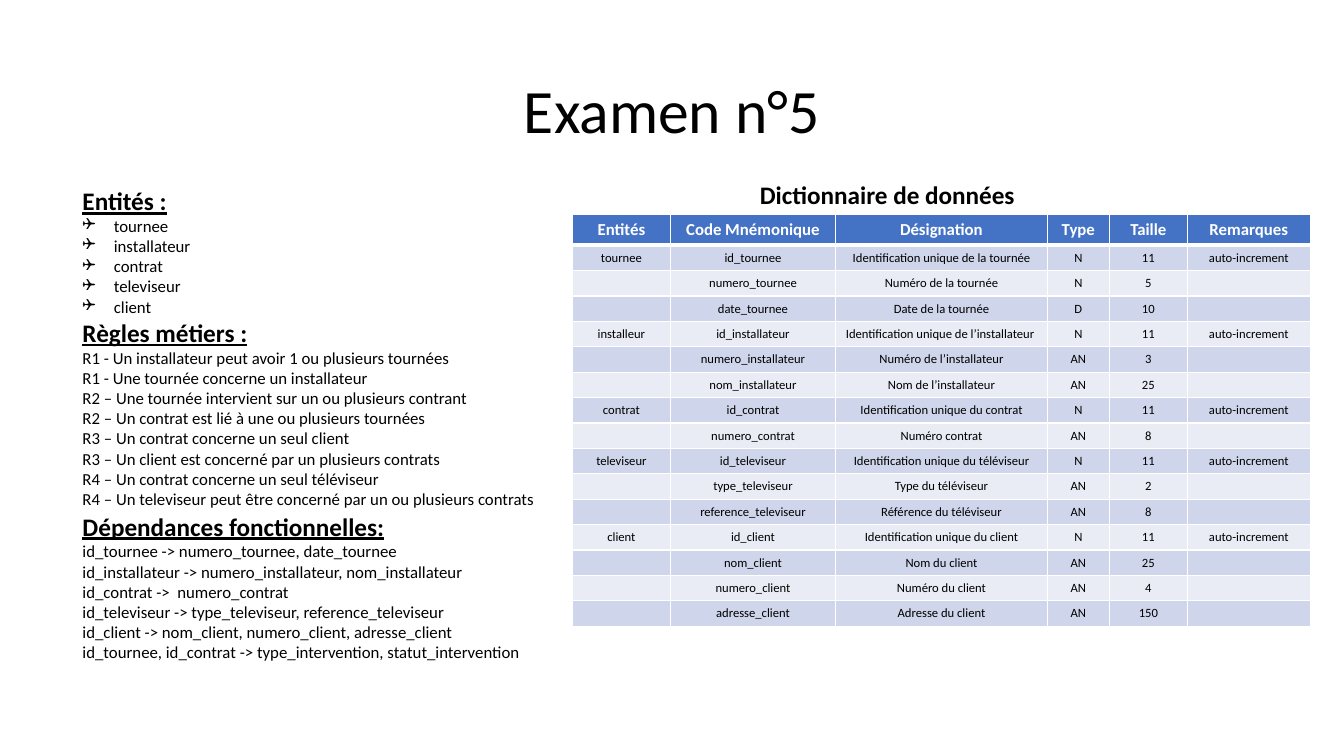
from lxml.etree import SubElement
from pptx import Presentation
from pptx.dml.color import RGBColor
from pptx.enum.text import MSO_ANCHOR, MSO_AUTO_SIZE, PP_ALIGN
from pptx.oxml.ns import qn
from pptx.util import Cm, Pt

TITLE = "Examen n°5"
SECTIONS = [
    ("Entités :", (1.83, 4.55, 7.44, 4.37), "❑",
     ["tournee", "installateur", "contrat", "televiseur", "client"]),
    ("Règles métiers :", (1.83, 7.87, 14.88, 5.89), None,
     ["R1 - Un installateur peut avoir 1 ou plusieurs tournées",
      "R1 - Une tournée concerne un installateur",
      "R2 – Une tournée intervient sur un ou plusieurs contrant",
      "R2 – Un contrat est lié à une ou plusieurs tournées",
      "R3 – Un contrat concerne un seul client",
      "R3 – Un client est concerné par un plusieurs contrats",
      "R4 – Un contrat concerne un seul téléviseur",
      "R4 – Un televiseur peut être concerné par un ou plusieurs contrats"]),
    ("Dépendances fonctionnelles:", (1.83, 12.75, 11.86, 4.11), None,
     ["id_tournee -> numero_tournee, date_tournee",
      "id_installateur -> numero_installateur, nom_installateur",
      "id_contrat ->  numero_contrat",
      "id_televiseur -> type_televiseur, reference_televiseur",
      "id_client -> nom_client, numero_client, adresse_client",
      "id_tournee, id_contrat -> type_intervention, statut_intervention"]),
]
DICTIONARY_TITLE = "Dictionnaire de données"
HEADERS = ["Entités", "Code Mnémonique", "Désignation", "Type", "Taille", "Remarques"]
COLUMN_WIDTHS = [2.46, 4.17, 5.33, 1.57, 1.96, 3.1]
ENTITIES = {
    "tournee": [
        ("id_tournee", "Identification unique de la tournée", "N", "11"),
        ("numero_tournee", "Numéro de la tournée", "N", "5"),
        ("date_tournee", "Date de la tournée", "D", "10")],
    "installeur": [
        ("id_installateur", "Identification unique de l’installateur ", "N", "11"),
        ("numero_installateur", "Numéro de l’installateur", "AN", "3"),
        ("nom_installateur", "Nom de l’installateur", "AN", "25")],
    "contrat": [
        ("id_contrat", "Identification unique du contrat", "N", "11"),
        ("numero_contrat", "Numéro contrat", "AN", "8")],
    "televiseur": [
        ("id_televiseur", "Identification unique du téléviseur", "N", "11"),
        ("type_televiseur", "Type du téléviseur", "AN", "2"),
        ("reference_televiseur", "Référence du téléviseur", "AN", "8")],
    "client": [
        ("id_client", "Identification unique du client", "N", "11"),
        ("nom_client", "Nom du client", "AN", "25"),
        ("numero_client", "Numéro du client", "AN", "4"),
        ("adresse_client", "Adresse du client", "AN", "150")],
}
KEY_REMARK = "auto-increment"

FONT = "Calibri"
BLACK = RGBColor(0, 0, 0)
WHITE = RGBColor(255, 255, 255)
HEADER_BLUE = RGBColor(0x44, 0x72, 0xC4)
BANDS = [RGBColor(0xCF, 0xD5, 0xEA), RGBColor(0xE9, 0xEB, 0xF5)]


def write(para, text, size=12, color=BLACK, bold=False, underline=False,
          align=PP_ALIGN.LEFT, bullet=None):
    para.alignment = align
    if bullet:
        properties = para._p.get_or_add_pPr()
        properties.set("marL", str(Cm(0.79)))
        properties.set("indent", str(-Cm(0.79)))
        SubElement(properties, qn("a:buFont"), typeface="Wingdings")
        SubElement(properties, qn("a:buChar"), char=bullet)
    if not text:
        SubElement(para._p, qn("a:endParaRPr"), sz=str(size * 100))
        return
    span = para.add_run()
    span.text = text
    span.font.name = FONT
    span.font.size = Pt(size)
    span.font.bold = bold
    span.font.underline = underline
    span.font.color.rgb = color


def add_box(page, place):
    box = page.shapes.add_textbox(*map(Cm, place))
    frame = box.text_frame
    frame.word_wrap = True
    frame.auto_size = MSO_AUTO_SIZE.SHAPE_TO_FIT_TEXT
    return frame


def border_cell(cell, bottom_width):
    properties = cell._tc.get_or_add_tcPr()
    widths = {"a:lnL": 1, "a:lnR": 1, "a:lnT": 1, "a:lnB": bottom_width}
    for position, (side, width) in enumerate(widths.items()):
        line = SubElement(properties, qn(side), w=str(Pt(width)))
        fill = SubElement(line, qn("a:solidFill"))
        SubElement(fill, qn("a:srgbClr"), val=str(WHITE))
        properties.insert(position, line)


def add_dictionary(page):
    rows = [HEADERS]
    for entity, fields in ENTITIES.items():
        for index, field in enumerate(fields):
            first = index == 0
            rows.append([entity if first else "", *field, KEY_REMARK if first else ""])
    heights = [0.77] + [0.64] * (len(rows) - 1)
    table = page.shapes.add_table(len(rows), len(HEADERS), Cm(14.43), Cm(5.41),
                                  Cm(sum(COLUMN_WIDTHS)), Cm(sum(heights))).table
    for column, width in zip(table.columns, COLUMN_WIDTHS):
        column.width = Cm(width)
    for row_number, values in enumerate(rows):
        header = row_number == 0
        table.rows[row_number].height = Cm(heights[row_number])
        for column_number, value in enumerate(values):
            cell = table.cell(row_number, column_number)
            cell.fill.solid()
            cell.fill.fore_color.rgb = HEADER_BLUE if header else BANDS[(row_number - 1) % 2]
            cell.vertical_anchor = MSO_ANCHOR.MIDDLE if header else MSO_ANCHOR.TOP
            border_cell(cell, 3 if header else 1)
            write(cell.text_frame.paragraphs[0], value, size=12 if header else 9,
                  color=WHITE if header else BLACK, bold=header, align=PP_ALIGN.CENTER)


def main():
    deck = Presentation()
    deck.slide_width, deck.slide_height = Cm(33.87), Cm(19.05)
    page = deck.slides.add_slide(deck.slide_layouts[5])

    title = page.shapes.title
    title.left, title.top, title.width, title.height = map(Cm, (2.33, 1.01, 29.21, 3.68))
    title.text_frame.vertical_anchor = MSO_ANCHOR.MIDDLE
    heading = title.text_frame.paragraphs[0]
    heading.line_spacing = 0.9
    write(heading, TITLE, size=44, align=PP_ALIGN.CENTER)

    for name, place, bullet, lines in SECTIONS:
        frame = add_box(page, place)
        write(frame.paragraphs[0], name, size=18, bold=True, underline=True)
        for line in lines:
            write(frame.add_paragraph(), line, bullet=bullet)

    add_dictionary(page)
    caption = add_box(page, (18.9, 4.39, 7.44, 1.02))
    write(caption.paragraphs[0], DICTIONARY_TITLE, size=18, bold=True)

    deck.save("out.pptx")


if __name__ == "__main__":
    main()
